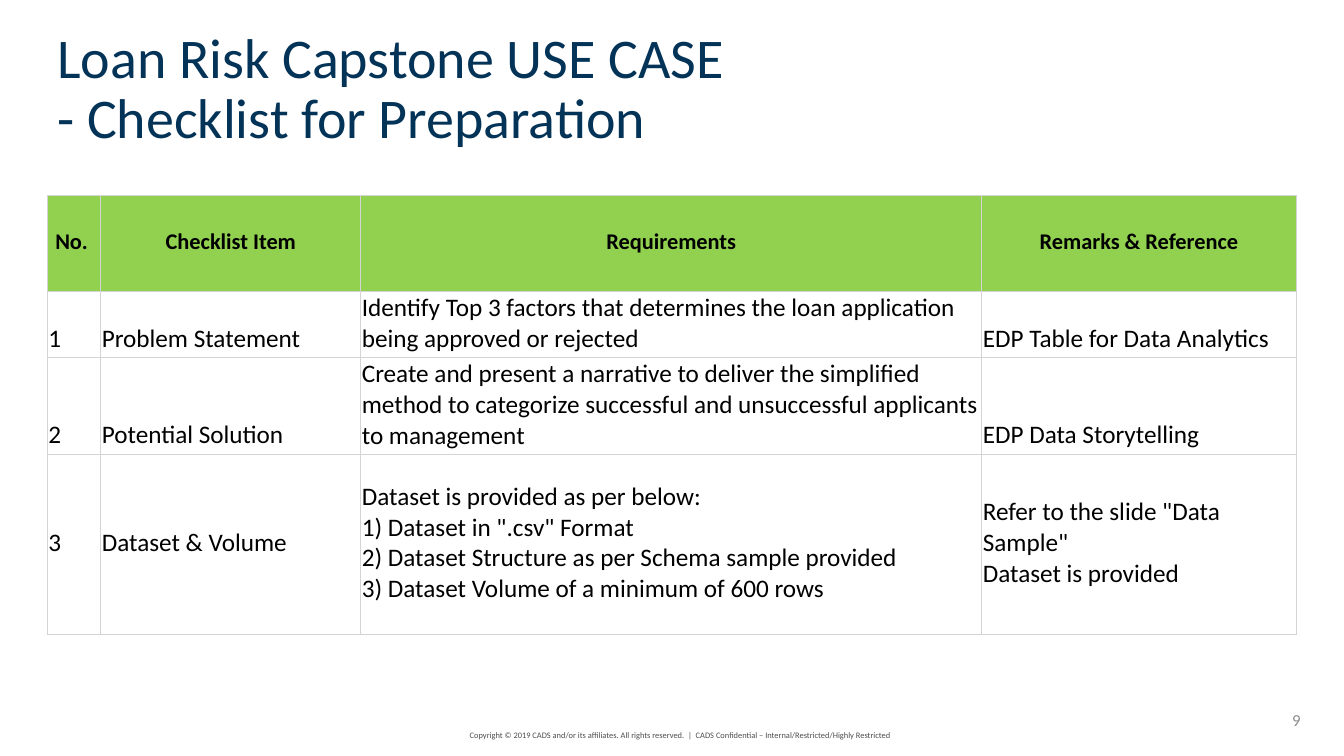
import pptx
import pptx.dml.color
import pptx.enum.text
import pptx.oxml
import pptx.oxml.ns
import pptx.util

RGBColor = pptx.dml.color.RGBColor
ALIGN = pptx.enum.text.PP_ALIGN
ANCHOR = pptx.enum.text.MSO_ANCHOR

NAVY = RGBColor(0x04, 0x33, 0x58)
BLACK = RGBColor(0x00, 0x00, 0x00)
GREEN = RGBColor(0x92, 0xD0, 0x50)
PAGE_GREY = RGBColor(0x8C, 0x8C, 0x8C)
FOOTER_GREY = RGBColor(0x4D, 0x4D, 0x4D)
BORDER_GREY = RGBColor(0xD4, 0xD4, 0xD4)

SLIDE_WIDTH = pptx.util.Inches(13.333)
SLIDE_HEIGHT = pptx.util.Inches(7.5)

# Boxes are left, top, width, height in percent of the slide.
TITLE_BOX = (3.53, 3.33, 96.45, 18.67)
TABLE_BOX = (3.53, 25.87, 92.93, 58)
PAGE_BOX = (89.03, 92.53, 8.48, 5.33)
FOOTER_BOX = (34.95, 95.87, 32.63, 2.67)

COLUMN_SHARES = (4.28, 20.82, 49.72, 25.18)
ROW_SHARES = (21.84, 15.17, 22.07, 40.92)
ROW_ANCHORS = (ANCHOR.MIDDLE, ANCHOR.BOTTOM, ANCHOR.BOTTOM, ANCHOR.MIDDLE)

TITLE = ("Loan Risk Capstone USE CASE", "- Checklist for Preparation")
FOOTER = ("Copyright © 2019 CADS and/or its affiliates. All rights reserved.  |  "
          "CADS Confidential – Internal/Restricted/Highly Restricted",)
CHECKLIST = (
    (("No. ",), ("Checklist Item",), ("Requirements",), ("Remarks & Reference",)),
    (("1",), ("Problem Statement",),
     ("Identify Top 3 factors that determines the loan application "
      "being approved or rejected",),
     ("EDP Table for Data Analytics",)),
    (("2",), ("Potential Solution ",),
     ("Create and present a narrative to deliver the simplified method to "
      "categorize successful and unsuccessful applicants to management",),
     ("EDP Data Storytelling",)),
    (("3",), ("Dataset & Volume",),
     ('Dataset is provided as per below:\n1) Dataset in ".csv" Format\n'
      "2) Dataset Structure as per Schema sample provided\n"
      "3) Dataset Volume of a minimum of 600 rows ",),
     ('Refer to the slide "Data Sample" ', "Dataset is provided")),
)


def to_slide(box):
    """Turn a box in percent of the slide into lengths."""
    sides = (SLIDE_WIDTH, SLIDE_HEIGHT) * 2
    return [int(side * share / 100) for side, share in zip(sides, box)]


def set_all(target, values):
    """Set each named attribute on the target."""
    for name, value in values.items():
        setattr(target, name, value)


def write(frame, lines, size, color, bold=False, **paragraph_format):
    """Write one paragraph per line with a common format."""
    for index, line in enumerate(lines):
        paragraph = frame.add_paragraph() if index else frame.paragraphs[0]
        paragraph.text = line
        set_all(paragraph, paragraph_format)
        for run in paragraph.runs:
            set_all(run.font, {"name": "Calibri", "size": pptx.util.Pt(size), "bold": bold})
            run.font.color.rgb = color


def add_text(slide, box, frame_format):
    """Add an empty text box and return its frame."""
    frame = slide.shapes.add_textbox(*to_slide(box)).text_frame
    set_all(frame, {"word_wrap": True, **frame_format})
    return frame


def add_title(slide, box):
    """Place the two-line title."""
    frame = add_text(slide, box, {"vertical_anchor": ANCHOR.TOP})
    write(frame, TITLE, 40, NAVY, line_spacing=0.9)


def add_footer(slide, page_box, footer_box):
    """Place the page number and the copyright line."""
    page = add_text(slide, page_box, {"vertical_anchor": ANCHOR.MIDDLE})
    write(page, ("9",), 12, PAGE_GREY, alignment=ALIGN.RIGHT)
    margins = dict.fromkeys(("margin_left", "margin_top", "margin_right", "margin_bottom"), 0)
    footer = add_text(slide, footer_box,
                      {"vertical_anchor": ANCHOR.MIDDLE, **margins, "word_wrap": False})
    write(footer, FOOTER, 6, FOOTER_GREY)


def add_borders(cell):
    """Draw a thin grey line on all four sides of a cell."""
    properties = cell._tc.get_or_add_tcPr()
    for index, side in enumerate(("lnL", "lnR", "lnT", "lnB")):
        properties.insert(index, pptx.oxml.parse_xml(
            f'<a:{side} {pptx.oxml.ns.nsdecls("a")} w="{pptx.util.Pt(0.75)}"><a:solidFill>'
            f'<a:srgbClr val="{BORDER_GREY}"/></a:solidFill></a:{side}>'))


def fill_cell(cell, lines, is_header, anchor):
    """Format and write one checklist cell."""
    thin = pptx.util.Inches(0.01)
    set_all(cell, {"margin_left": thin, "margin_top": thin, "margin_right": thin,
                   "margin_bottom": pptx.util.Inches(0.04), "vertical_anchor": anchor})
    if is_header:
        cell.fill.solid()
        cell.fill.fore_color.rgb = GREEN
        write(cell.text_frame, lines, 16, BLACK, True, alignment=ALIGN.CENTER)
    else:
        cell.fill.background()
        write(cell.text_frame, lines, 18, BLACK, alignment=ALIGN.LEFT)
    add_borders(cell)


def add_checklist(slide, box):
    """Place the checklist table with its shares of the box."""
    left, top, width, height = to_slide(box)
    table = slide.shapes.add_table(len(ROW_SHARES), len(COLUMN_SHARES),
                                   left, top, width, height).table
    set_all(table, {"first_row": False, "horz_banding": False})
    for column, share in zip(table.columns, COLUMN_SHARES):
        column.width = int(width * share / 100)
    for row_index, (row, share) in enumerate(zip(table.rows, ROW_SHARES)):
        row.height = int(height * share / 100)
        for cell, lines in zip(row.cells, CHECKLIST[row_index]):
            fill_cell(cell, lines, row_index == 0, ROW_ANCHORS[row_index])


def main():
    """Build and save the slide."""
    presentation = pptx.Presentation()
    set_all(presentation, {"slide_width": SLIDE_WIDTH, "slide_height": SLIDE_HEIGHT})
    slide = presentation.slides.add_slide(presentation.slide_layouts[6])
    add_footer(slide, PAGE_BOX, FOOTER_BOX)
    add_title(slide, TITLE_BOX)
    add_checklist(slide, TABLE_BOX)
    presentation.save("out.pptx")


if __name__ == "__main__":
    main()
